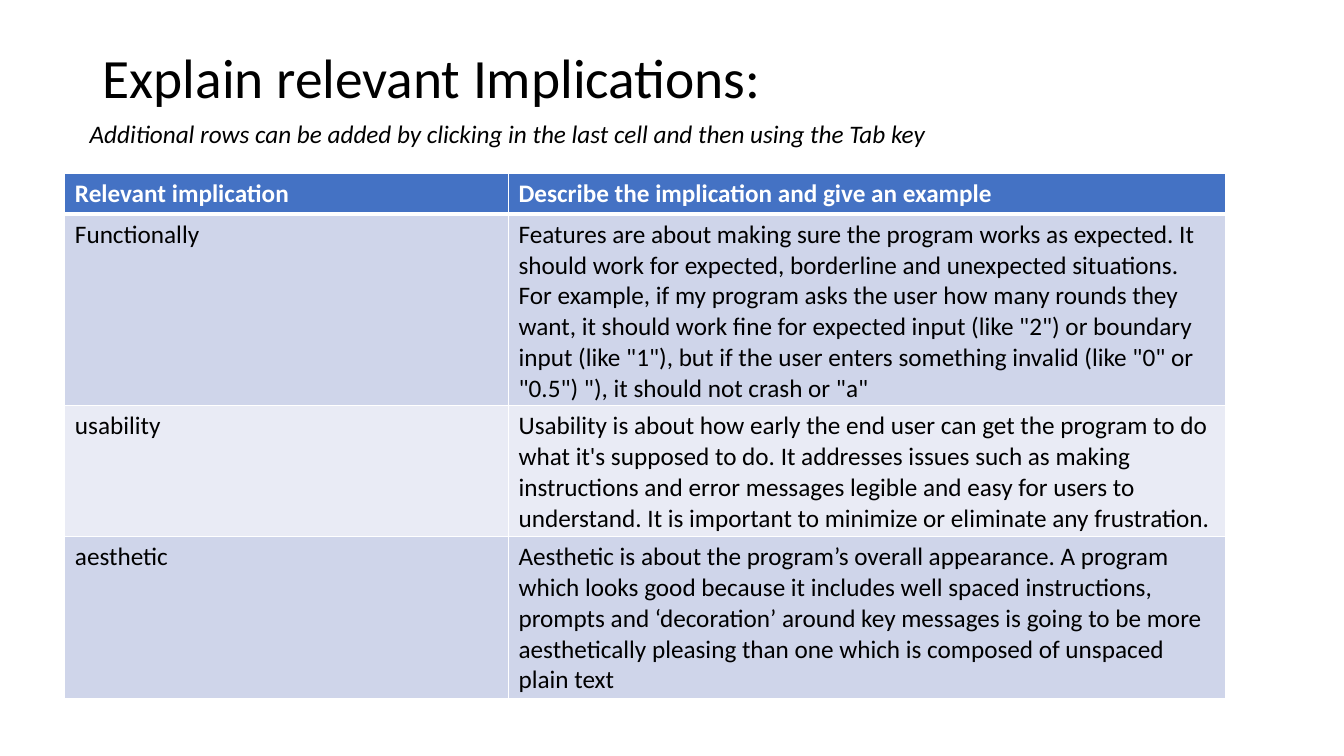
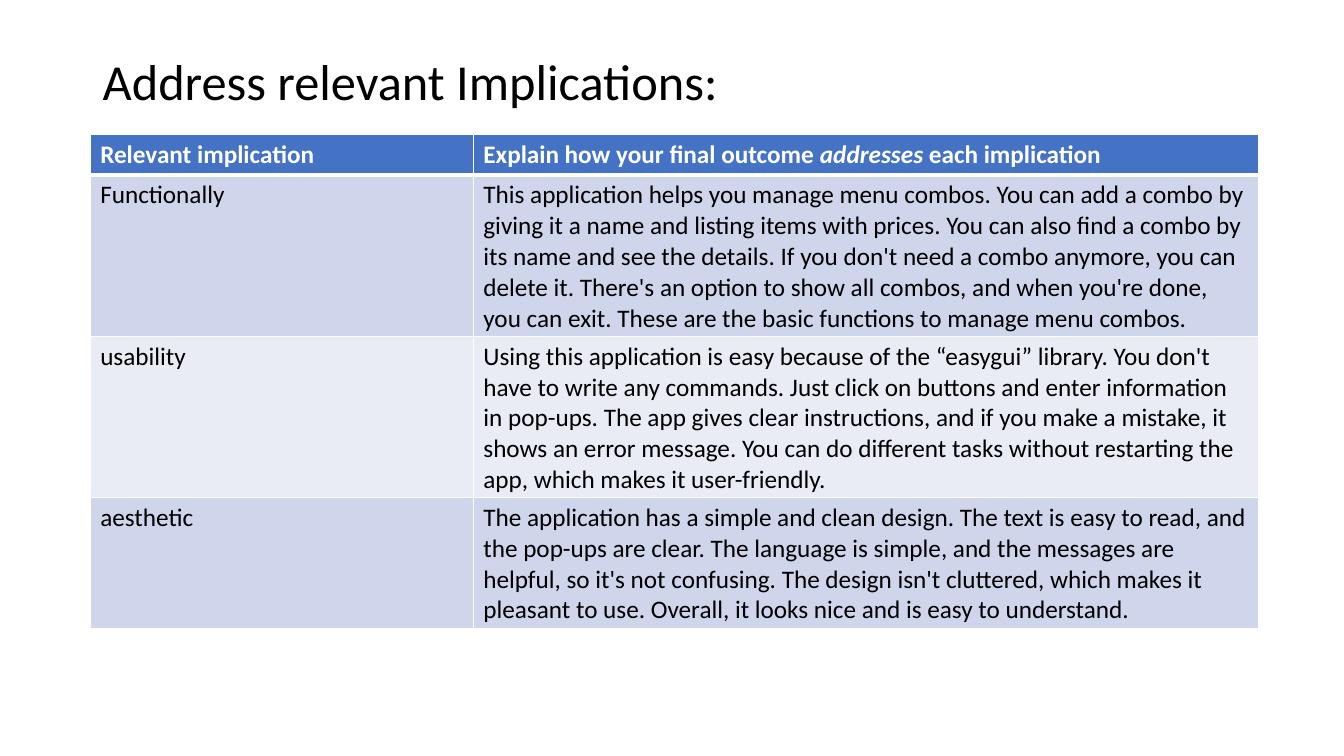
from dataclasses import dataclass

from lxml.etree import SubElement
from pptx import Presentation
from pptx.dml.color import RGBColor
from pptx.enum.text import MSO_ANCHOR as Anchor
from pptx.oxml.ns import qn
from pptx.util import Emu, Inches, Pt

# Shared look
FONT = "Calibri"
BLACK, WHITE = "000000", "FFFFFF"
HEADER_FILL = "4472C4"
BAND_FILLS = ("CFD5EA", "E9EBF5")
BODY_SIZE = 18
THIN, THICK = 1, 3
ROW_HEIGHT = 5.41  # smallest row, rows grow with their text

SLIDE_WIDTH, SLIDE_HEIGHT = Inches(13.33), Inches(7.5)
TITLE_LEFT, TITLE_TOP, TITLE_WIDTH = 6.9, 5.33, 86.25


@dataclass(frozen=True)
class Run:
    text: str
    size: float = BODY_SIZE
    color: str = BLACK
    bold: bool = False
    italic: bool = False


@dataclass(frozen=True)
class Box:
    """Place and size in percent of the slide."""
    left: float
    top: float
    width: float
    height: float


@dataclass(frozen=True)
class ImplicationSlide:
    title: str
    title_size: float
    title_height: float
    table_box: Box
    first_column: float
    heading: tuple[Run, ...]
    answers: tuple[str, ...]
    hint: str = ""


def header_run(text: str, italic: bool = False) -> Run:
    return Run(text, color=WHITE, bold=True, italic=italic)


IMPLICATIONS = ("Functionally", "usability", "aesthetic")
HINT_BOX = Box(5.93, 14.93, 82.07, 5.33)

SLIDES = (
    ImplicationSlide(
        title="Explain relevant Implications:",
        title_size=39.6,
        title_height=8.13,
        table_box=Box(4.83, 22.93, 86.35, 69.47),
        first_column=33.01,
        hint="Additional rows can be added by clicking in the last cell and then using the Tab key",
        heading=(header_run("Describe the implication and give an example"),),
        answers=(
            "Features are about making sure the program works as expected. It should work for "
            "expected, borderline and unexpected situations. For example, if my program asks the "
            "user how many rounds they want, it should work fine for expected input (like \"2\") or "
            "boundary input (like \"1\"), but if the user enters something invalid (like \"0\" or "
            "\"0.5\") \"), it should not crash or \"a\"",
            "Usability is about how early the end user can get the program to do what it's supposed "
            "to do. It addresses issues such as making instructions and error messages legible and "
            "easy for users to understand. It is important to minimize or eliminate any frustration.",
            "Aesthetic is about the program’s overall appearance. A program which looks good because "
            "it includes well spaced instructions, prompts and ‘decoration’ around key messages is "
            "going to be more aesthetically pleasing than one which is composed of unspaced plain text",
        ),
    ),
    ImplicationSlide(
        title="Address relevant Implications:",
        title_size=36,
        title_height=9.33,
        table_box=Box(6.71, 17.73, 86.95, 65.47),
        first_column=28.51,
        heading=(
            header_run("Explain how your final outcome "),
            header_run("addresses", italic=True),
            header_run(" each implication"),
        ),
        answers=(
            "This application helps you manage menu combos. You can add a combo by giving it a name "
            "and listing items with prices. You can also find a combo by its name and see the "
            "details. If you don't need a combo anymore, you can delete it. There's an option to "
            "show all combos, and when you're done, you can exit. These are the basic functions to "
            "manage menu combos.",
            "Using this application is easy because of the “easygui” library. You don't have to "
            "write any commands. Just click on buttons and enter information in pop-ups. The app "
            "gives clear instructions, and if you make a mistake, it shows an error message. You can "
            "do different tasks without restarting the app, which makes it user-friendly.",
            "The application has a simple and clean design. The text is easy to read, and the "
            "pop-ups are clear. The language is simple, and the messages are helpful, so it's not "
            "confusing. The design isn't cluttered, which makes it pleasant to use. Overall, it "
            "looks nice and is easy to understand.",
        ),
    ),
)


def across(percent: float) -> Emu:
    return Emu(round(SLIDE_WIDTH * percent / 100))


def down(percent: float) -> Emu:
    return Emu(round(SLIDE_HEIGHT * percent / 100))


def place(box: Box) -> tuple[Emu, Emu, Emu, Emu]:
    return across(box.left), down(box.top), across(box.width), down(box.height)


def rgb(color: str) -> RGBColor:
    return RGBColor.from_string(color)


def add_runs(paragraph, runs: tuple[Run, ...]) -> None:
    for item in runs:
        run = paragraph.add_run()
        run.text = item.text
        font = run.font
        font.name, font.size = FONT, Pt(item.size)
        font.bold, font.italic = item.bold, item.italic
        font.color.rgb = rgb(item.color)


def add_text(slide, box: Box, run: Run, anchor=Anchor.TOP, line_spacing: float = 1.0) -> None:
    frame = slide.shapes.add_textbox(*place(box)).text_frame
    frame.word_wrap = True
    frame.vertical_anchor = anchor
    paragraph = frame.paragraphs[0]
    paragraph.line_spacing = line_spacing
    add_runs(paragraph, (run,))


def add_borders(cell, top: float, bottom: float) -> None:
    properties = cell._tc.get_or_add_tcPr()
    for side, width in (("L", THIN), ("R", THIN), ("T", top), ("B", bottom)):
        line = SubElement(properties, qn(f"a:ln{side}"), w=str(Pt(width)))
        fill = SubElement(line, qn("a:solidFill"))
        SubElement(fill, qn("a:srgbClr"), val=WHITE)


def fill_cell(cell, row: int, runs: tuple[Run, ...]) -> None:
    # The rule under the header is thick
    add_borders(cell, top=THICK if row == 1 else THIN, bottom=THICK if row == 0 else THIN)
    cell.fill.solid()
    cell.fill.fore_color.rgb = rgb(BAND_FILLS[(row - 1) % 2] if row else HEADER_FILL)
    add_runs(cell.text_frame.paragraphs[0], runs)


def add_implication_table(slide, content: ImplicationSlide) -> None:
    rows = [((header_run("Relevant implication"),), content.heading)]
    rows += [((Run(name),), (Run(answer),)) for name, answer in zip(IMPLICATIONS, content.answers)]
    box = content.table_box
    graphic_frame = slide.shapes.add_table(len(rows), 2, *place(box))
    table = graphic_frame.table
    table.first_row = table.horz_banding = False
    table.columns[0].width = across(content.first_column)
    table.columns[1].width = across(box.width - content.first_column)
    for row, cells in enumerate(rows):
        table.rows[row].height = down(ROW_HEIGHT)
        for column, runs in enumerate(cells):
            fill_cell(table.cell(row, column), row, runs)
    graphic_frame.height = down(box.height)


def add_implication_slide(presentation, content: ImplicationSlide) -> None:
    slide = presentation.slides.add_slide(presentation.slide_layouts[6])
    # Title and hint
    title_box = Box(TITLE_LEFT, TITLE_TOP, TITLE_WIDTH, content.title_height)
    add_text(slide, title_box, Run(content.title, content.title_size), Anchor.MIDDLE, 1.15)
    if content.hint:
        add_text(slide, HINT_BOX, Run(content.hint, italic=True))
    # Table
    add_implication_table(slide, content)


def main() -> None:
    presentation = Presentation()
    presentation.slide_width, presentation.slide_height = SLIDE_WIDTH, SLIDE_HEIGHT
    for content in SLIDES:
        add_implication_slide(presentation, content)
    presentation.save("out.pptx")


if __name__ == "__main__":
    main()
